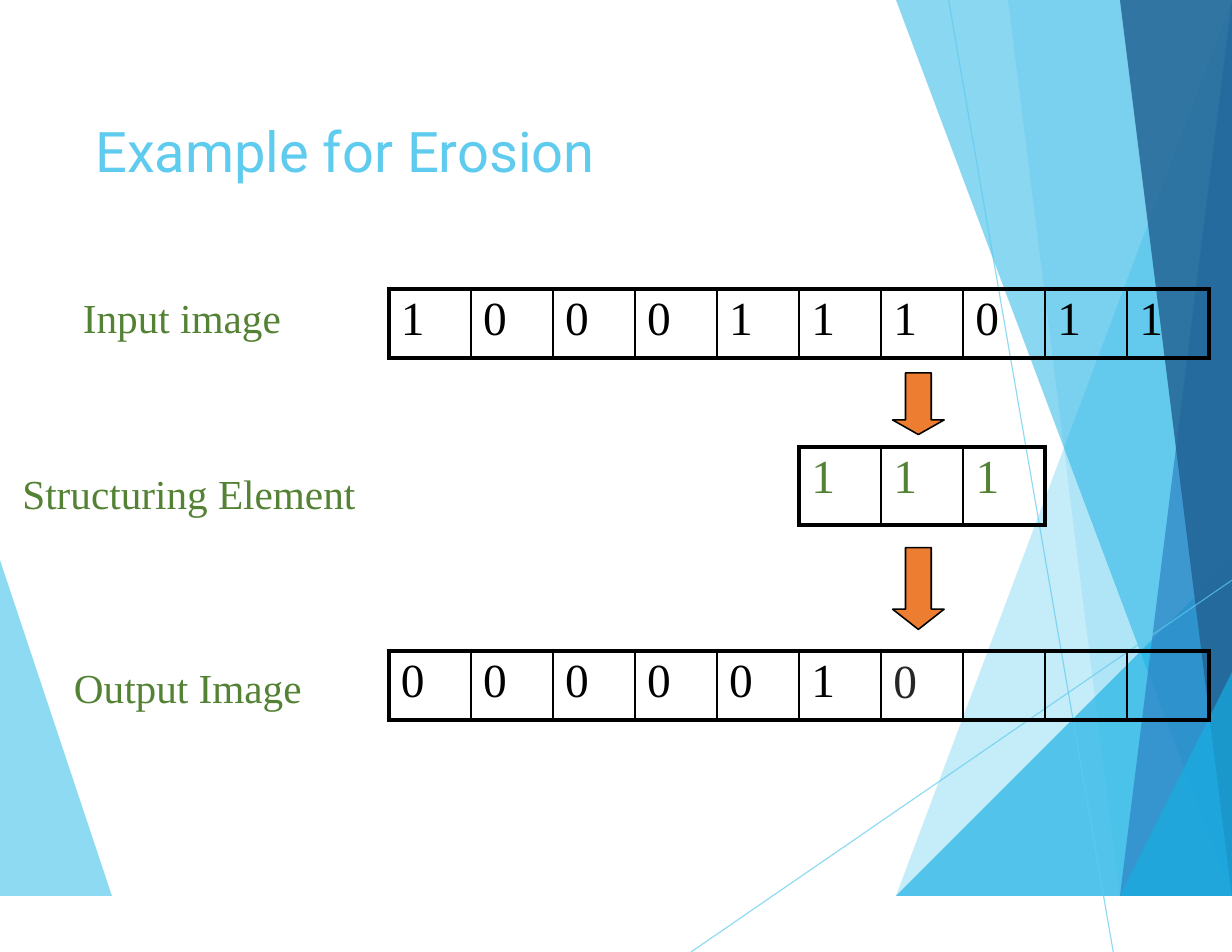
from dataclasses import dataclass

from lxml import etree
from pptx import Presentation
from pptx import util as u
from pptx.dml.color import RGBColor
from pptx.enum import shapes, text
from pptx.oxml.ns import qn

Inches, Pt = u.Inches, u.Pt


@dataclass(frozen=True)
class Theme:
    sky: str = "5FCBEF"
    cyan: str = "17B0E4"
    blue: str = "2E83C3"
    navy: str = "226292"
    green: str = "548235"
    orange: str = "ED7D31"
    black: str = "000000"
    gray: str = "262626"
    head: str = "Roboto"
    body: str = "Times New Roman"
    title: float = 36
    label: float = 26.5
    digit: float = 30.5
    thin: float = 1.5
    thick: float = 3


T = Theme()

# Facets in slide inches: points, colour, opacity in percent
FACETS = [
    ([(0, 5.04), (0.54, 8.5), (0, 8.5)], T.sky, 70),
    ([(10.73, 0), (8.29, 8.5), (11, 8.5), (11, 0)], T.sky, 36),
    ([(8.67, 0), (10.11, 8.5), (11, 8.5), (11, 0)], T.sky, 20),
    ([(7.99, 8.5), (11, 4.86), (11, 8.5)], T.cyan, 66),
    ([(8.43, 0), (10.67, 8.5), (11, 8.5), (11, 0)], T.cyan, 50),
    ([(10.79, 0), (9.98, 8.5), (11, 8.5), (11, 0)], T.blue, 70),
    ([(9.74, 0), (10.87, 8.5), (11, 8.5), (11, 0)], T.navy, 82),
    ([(9.71, 8.5), (11, 6.1), (11, 8.5)], T.cyan, 66),
]
RAYS = [((6.17, 8.5), (11, 5.18)), ((8.47, 0), (9.94, 8.5))]


def fade(fill, pct):
    """Set the opacity of a solid fill or line."""
    clr = fill._xPr.find(qn("a:solidFill"))[0]
    etree.SubElement(clr, qn("a:alpha"), val=str(pct * 1000))


def paint(fill, tint):
    fill.solid()
    fill.fore_color.rgb = RGBColor.from_string(tint)


def write(para, words, size, face, tint):
    run = para.add_run()
    run.text = words
    run.font.size = Pt(size)
    run.font.name = face
    run.font.color.rgb = RGBColor.from_string(tint)


def inset(frame, top):
    frame.margin_left = frame.margin_right = frame.margin_bottom = 0
    frame.margin_top = Inches(top)
    frame.vertical_anchor = text.MSO_ANCHOR.TOP


def place(shape, box):
    shape.left, shape.top, shape.width, shape.height = map(Inches, box)


def draw_back(slide, x, y):
    for points, tint, pct in FACETS:
        moved = [(x + a, y + b) for a, b in points]
        path = slide.shapes.build_freeform(*moved[0], scale=Inches(1))
        path.add_line_segments(moved[1:], close=True)
        facet = path.convert_to_shape()
        facet.shadow.inherit = False
        paint(facet.fill, tint)
        fade(facet.fill, pct)
        facet.line.fill.background()
    for (ax, ay), (bx, by) in RAYS:
        ray = slide.shapes.add_connector(
            shapes.MSO_CONNECTOR.STRAIGHT,
            Inches(x + ax), Inches(y + ay), Inches(x + bx), Inches(y + by))
        ray.line.width = Pt(0.75)
        paint(ray.line.fill, T.sky)
        fade(ray.line.fill, 70)
        etree.SubElement(ray._element.spPr, qn("a:effectLst"))


def set_title(slide, box, words):
    title = slide.shapes.title
    place(title, box)
    frame = title.text_frame
    inset(frame, 0.04)
    para = frame.paragraphs[0]
    para.alignment = text.PP_ALIGN.LEFT
    write(para, words, T.title, T.head, T.sky)


def add_labels(slide, box, lines):
    """Write lines of (words, indent in inches, space before in points)."""
    frame = slide.shapes.add_textbox(*map(Inches, box)).text_frame
    frame.word_wrap = True
    inset(frame, 0.02)
    for i, (words, indent, gap) in enumerate(lines):
        para = frame.add_paragraph() if i else frame.paragraphs[0]
        para._p.get_or_add_pPr().set("marL", str(Inches(indent)))
        if gap:
            para.space_before = Pt(gap)
        write(para, words, T.label, T.body, T.green)


def edge(cell, sides):
    """Put borders on a cell, given widths in the order L, R, T, B."""
    props = cell._tc.get_or_add_tcPr()
    for i, (side, width) in enumerate(zip("LRTB", sides)):
        line = etree.Element(qn("a:ln" + side), w=str(Pt(width)))
        fill = etree.SubElement(line, qn("a:solidFill"))
        etree.SubElement(fill, qn("a:srgbClr"), val=T.black)
        props.insert(i, line)


def add_row(slide, box, digits, tints):
    """Draw a one-row table; a blank digit leaves its cell empty."""
    count = len(digits)
    table = slide.shapes.add_table(1, count, *map(Inches, box)).table
    table.first_row = table.horz_banding = False
    table.rows[0].height = Inches(box[3])
    for i, (digit, tint) in enumerate(zip(digits, tints)):
        table.columns[i].width = Inches(box[2] / count)
        cell = table.cell(0, i)
        cell.fill.background()
        edge(cell, (T.thin if i else T.thick,
                    T.thin if i < count - 1 else T.thick, T.thick, T.thick))
        cell.margin_left = Inches(0.11)
        cell.margin_right = cell.margin_bottom = 0
        cell.margin_top = Inches(0.05 if tint == T.gray else 0.04)
        if digit.strip():
            write(cell.text_frame.paragraphs[0], digit, T.digit, T.body, tint)


def add_arrow(slide, box, head):
    arrow = slide.shapes.add_shape(
        shapes.MSO_SHAPE.DOWN_ARROW, *map(Inches, box))
    arrow.adjustments[0] = 0.5
    arrow.adjustments[1] = head / box[2]
    arrow.shadow.inherit = False
    paint(arrow.fill, T.orange)
    paint(arrow.line.fill, T.black)
    arrow.line.width = Pt(1)


def build():
    deck = Presentation()
    deck.slide_width, deck.slide_height = Inches(11), Inches(8.5)
    slide = deck.slides.add_slide(deck.slide_layouts[5])
    draw_back(slide, 0, 0)
    set_title(slide, (0.85, 1, 5.9, 0.63), "Example for Erosion")

    left, wide, high = 3.47, 7.33, 0.62
    step = wide / 10
    add_row(slide, (left, 2.58, wide, high), "1000111011", [T.black] * 10)
    add_labels(slide, (0.19, 2.59, 2.99, 1.98),
               [("Input image", 0.55, 0), ("Structuring Element", 0.01, 81.5)])
    add_labels(slide, (0.65, 5.89, 2.05, 0.47), [("Output Image", 0.01, 0)])
    add_row(slide, (left + 5 * step, 3.99, 3 * step, 0.7), "111", [T.green] * 3)
    add_arrow(slide, (7.97, 4.89, 0.46, 0.73), 0.18)
    add_arrow(slide, (7.97, 3.33, 0.46, 0.55), 0.13)
    add_row(slide, (left, 5.81, wide, high), "0000010   ",
            [T.black] * 6 + [T.gray] + [T.black] * 3)
    deck.save("out.pptx")


if __name__ == "__main__":
    build()
